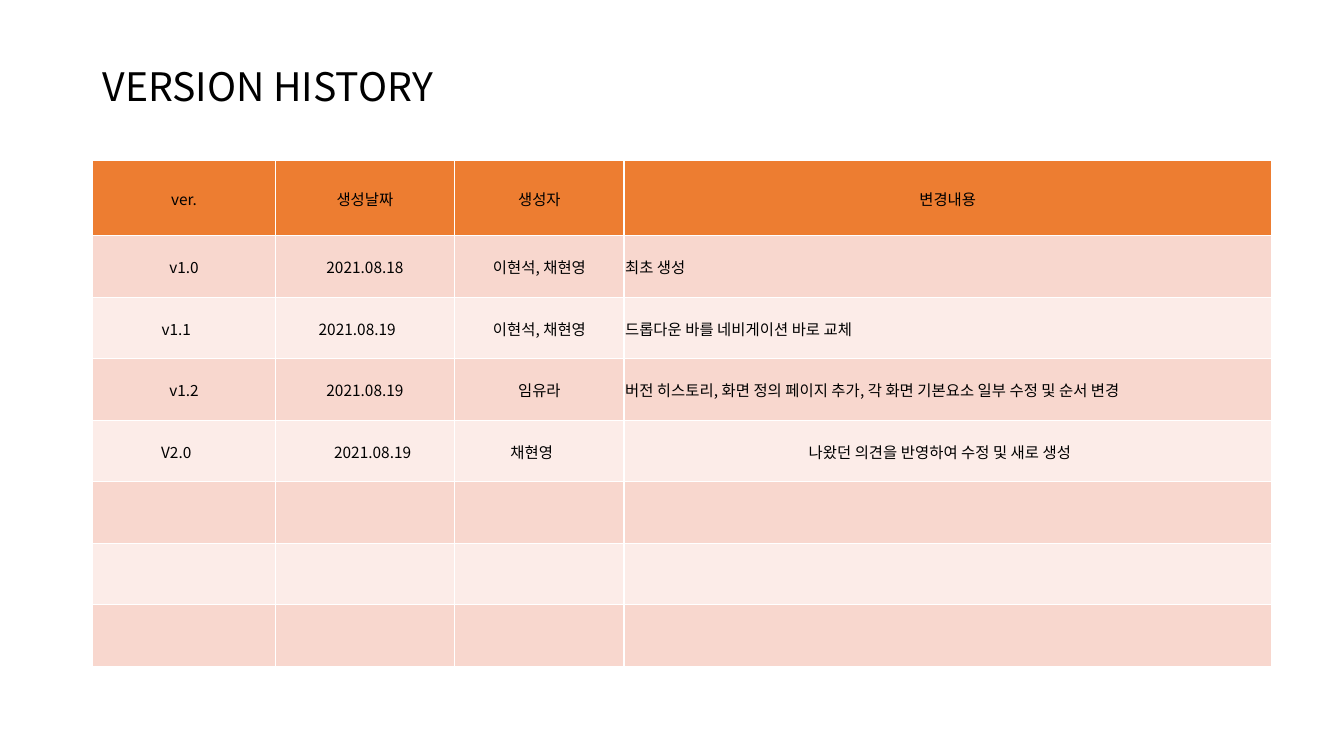
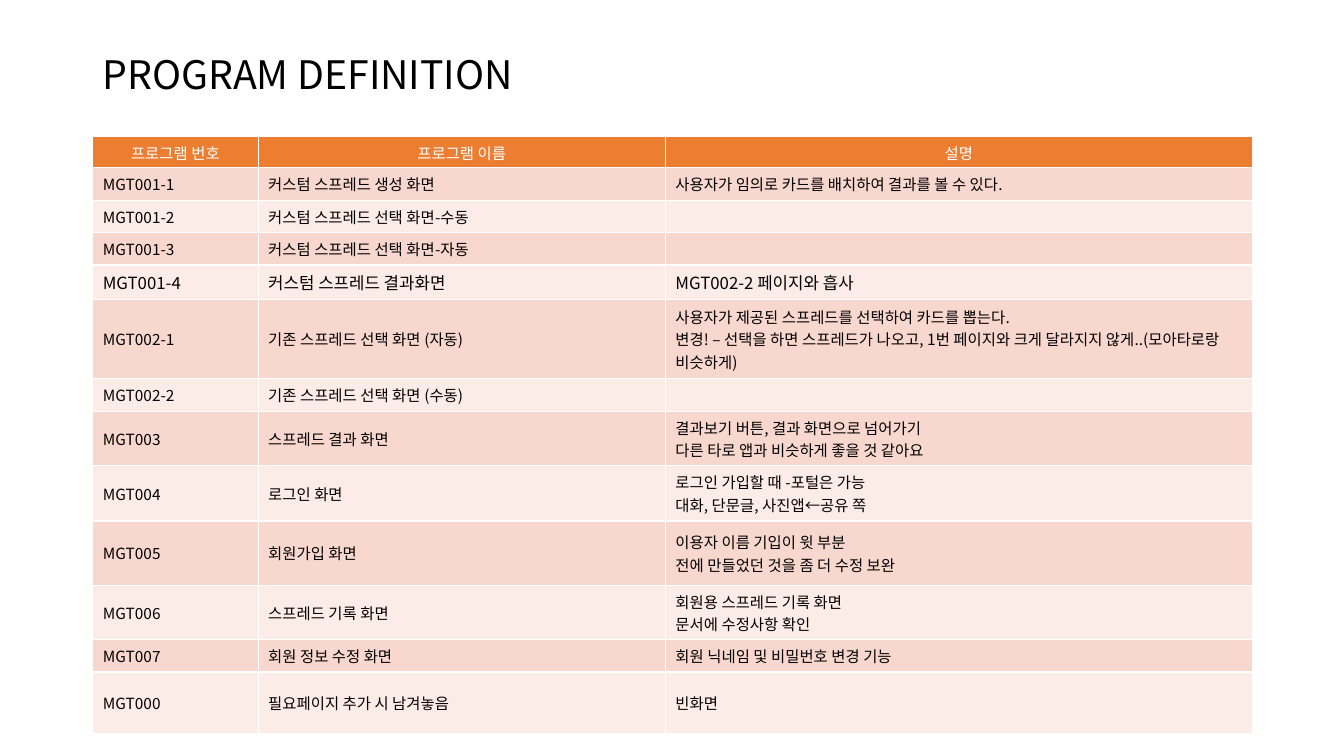
"""Build the version history and program definition table slides."""
from dataclasses import dataclass

from lxml.etree import SubElement
from pptx import Presentation
from pptx.dml.color import RGBColor
from pptx.enum.text import MSO_ANCHOR, PP_ALIGN
from pptx.oxml.ns import qn
from pptx.util import Inches, Pt

HISTORY = {
    "title": "VERSION HISTORY",
    "title_height": 0.96,
    "table_top": 1.59,
    "columns": [1.81, 1.78, 1.68, 6.42],
    "heights": [0.75] + [0.61] * 7,
    "margins": (0.01, 0.01, 0.01, 0),
    "header_color": "000000",
    "body_align": PP_ALIGN.CENTER,
    "align_overrides": {(row, 3): PP_ALIGN.LEFT for row in (1, 2, 3)},
    "large_rows": (),
    "rows": [
        ("ver.", "생성날짜", "생성자", "변경내용"),
        ("v1.0", "2021.08.18", "이현석, 채현영", "최초 생성"),
        ("v1.1　", "2021.08.19　", "이현석, 채현영", "드롭다운 바를 네비게이션 바로 교체"),
        ("v1.2", "2021.08.19", "임유라",
         "버전 히스토리, 화면 정의 페이지 추가, 각 화면 기본요소 일부 수정 및 순서 변경"),
        ("V2.0　", "　2021.08.19", "채현영　", "나왔던 의견을 반영하여 수정 및 새로 생성　"),
    ] + [("",) * 4] * 3,
}

PROGRAMS = {
    "title": "PROGRAM DEFINITION",
    "title_height": 0.73,
    "table_top": 1.35,
    "columns": [1.64, 4.04, 5.82],
    "heights": [0.31, 0.33, 0.32, 0.32, 0.34, 0.79, 0.32, 0.54, 0.55, 0.64, 0.54, 0.32, 0.61],
    "margins": (0.1, 0.05, 0.1, 0.05),
    "header_color": "FFFFFF",
    "body_align": PP_ALIGN.LEFT,
    "align_overrides": {},
    "large_rows": (4,),
    "rows": [
        ("프로그램 번호", "프로그램 이름", "설명"),
        ("MGT001-1", "커스텀 스프레드 생성 화면", "사용자가 임의로 카드를 배치하여 결과를 볼 수 있다."),
        ("MGT001-2", "커스텀 스프레드 선택 화면-수동", ""),
        ("MGT001-3", "커스텀 스프레드 선택 화면-자동", ""),
        ("MGT001-4", "커스텀 스프레드 결과화면", "MGT002-2 페이지와 흡사"),
        ("MGT002-1", "기존 스프레드 선택 화면 (자동)",
         "사용자가 제공된 스프레드를 선택하여 카드를 뽑는다.\n"
         "변경! – 선택을 하면 스프레드가 나오고, 1번 페이지와 크게 달라지지 않게..(모아타로랑 비슷하게)"),
        ("MGT002-2", "기존 스프레드 선택 화면 (수동)", ""),
        ("MGT003", "스프레드 결과 화면",
         "결과보기 버튼, 결과 화면으로 넘어가기\n다른 타로 앱과 비슷하게 좋을 것 같아요"),
        ("MGT004", "로그인 화면", "로그인 가입할 때 -포털은 가능\n대화, 단문글, 사진앱←공유 쪽"),
        ("MGT005", "회원가입 화면", "이용자 이름 기입이 윗 부분\n전에 만들었던 것을 좀 더 수정 보완"),
        ("MGT006", "스프레드 기록 화면", "회원용 스프레드 기록 화면\n문서에 수정사항 확인"),
        ("MGT007", "회원 정보 수정 화면", "회원 닉네임 및 비밀번호 변경 기능"),
        ("MGT000", "필요페이지 추가 시 남겨놓음", "빈화면"),
    ],
}


@dataclass(frozen=True)
class Theme:
    font: str = "Noto Sans CJK KR"
    text: str = "000000"
    header: str = "ED7D31"
    bands: tuple = ("FCECE8", "F8D7CE")
    border: str = "FFFFFF"
    border_width: int = 1
    title_size: int = 28
    body_size: int = 11
    large_size: int = 12
    title_kerning: str = "1200"
    body_kerning: str = "0"
    left: float = 0.92
    title_top: float = 0.4
    title_width: float = 11.5


THEME = Theme()


def add_run(paragraph, text, size, color, kerning):
    run = paragraph.add_run()
    run.text = text
    run.font.name = THEME.font
    run.font.size = Pt(size)
    run.font.bold = False
    run.font.color.rgb = RGBColor.from_string(color)
    properties = run.font._element
    properties.set("kern", kerning)
    SubElement(properties, qn("a:ea"), typeface=THEME.font)


def add_title(slide, text, height):
    box = slide.shapes.add_textbox(Inches(THEME.left), Inches(THEME.title_top),
                                   Inches(THEME.title_width), Inches(height))
    frame = box.text_frame
    frame.word_wrap = True
    frame.vertical_anchor = MSO_ANCHOR.MIDDLE
    paragraph = frame.paragraphs[0]
    paragraph.line_spacing = 0.9
    add_run(paragraph, text, THEME.title_size, THEME.text, THEME.title_kerning)


def set_borders(cell):
    properties = cell._tc.get_or_add_tcPr()
    for side in "LRTB":
        line = SubElement(properties, qn(f"a:ln{side}"), w=str(Pt(THEME.border_width)))
        fill = SubElement(line, qn("a:solidFill"))
        SubElement(fill, qn("a:srgbClr"), val=THEME.border)


def fill_cell(cell, text, size, color, fill, align, margins):
    cell.fill.solid()
    cell.fill.fore_color.rgb = RGBColor.from_string(fill)
    cell.vertical_anchor = MSO_ANCHOR.MIDDLE
    (cell.margin_left, cell.margin_top,
     cell.margin_right, cell.margin_bottom) = map(Inches, margins)
    frame = cell.text_frame
    for index, line in enumerate(text.split("\n")):
        paragraph = frame.add_paragraph() if index else frame.paragraphs[0]
        paragraph.alignment = align
        if line:
            add_run(paragraph, line, size, color, THEME.body_kerning)
        else:
            paragraph._p.get_or_add_endParaRPr().set("sz", str(size * 100))


def add_table(slide, content):
    rows, columns, heights = content["rows"], content["columns"], content["heights"]
    table = slide.shapes.add_table(
        len(rows), len(columns), Inches(THEME.left), Inches(content["table_top"]),
        Inches(sum(columns)), Inches(sum(heights))).table
    table.horz_banding = False
    for column, width in zip(table.columns, columns):
        column.width = Inches(width)
    for row_index, (row, height) in enumerate(zip(rows, heights)):
        table.rows[row_index].height = Inches(height)
        header = row_index == 0
        size = THEME.large_size if row_index in content["large_rows"] else THEME.body_size
        color = content["header_color"] if header else THEME.text
        fill = THEME.header if header else THEME.bands[row_index % 2]
        default_align = PP_ALIGN.CENTER if header else content["body_align"]
        for column_index, text in enumerate(row):
            cell = table.cell(row_index, column_index)
            align = content["align_overrides"].get((row_index, column_index), default_align)
            set_borders(cell)
            fill_cell(cell, text, size, color, fill, align, content["margins"])


def main():
    presentation = Presentation()
    presentation.slide_width = Inches(13.33)
    presentation.slide_height = Inches(7.5)
    for content in (HISTORY, PROGRAMS):
        slide = presentation.slides.add_slide(presentation.slide_layouts[6])
        add_title(slide, content["title"], content["title_height"])
        add_table(slide, content)
    presentation.save("out.pptx")


if __name__ == "__main__":
    main()
